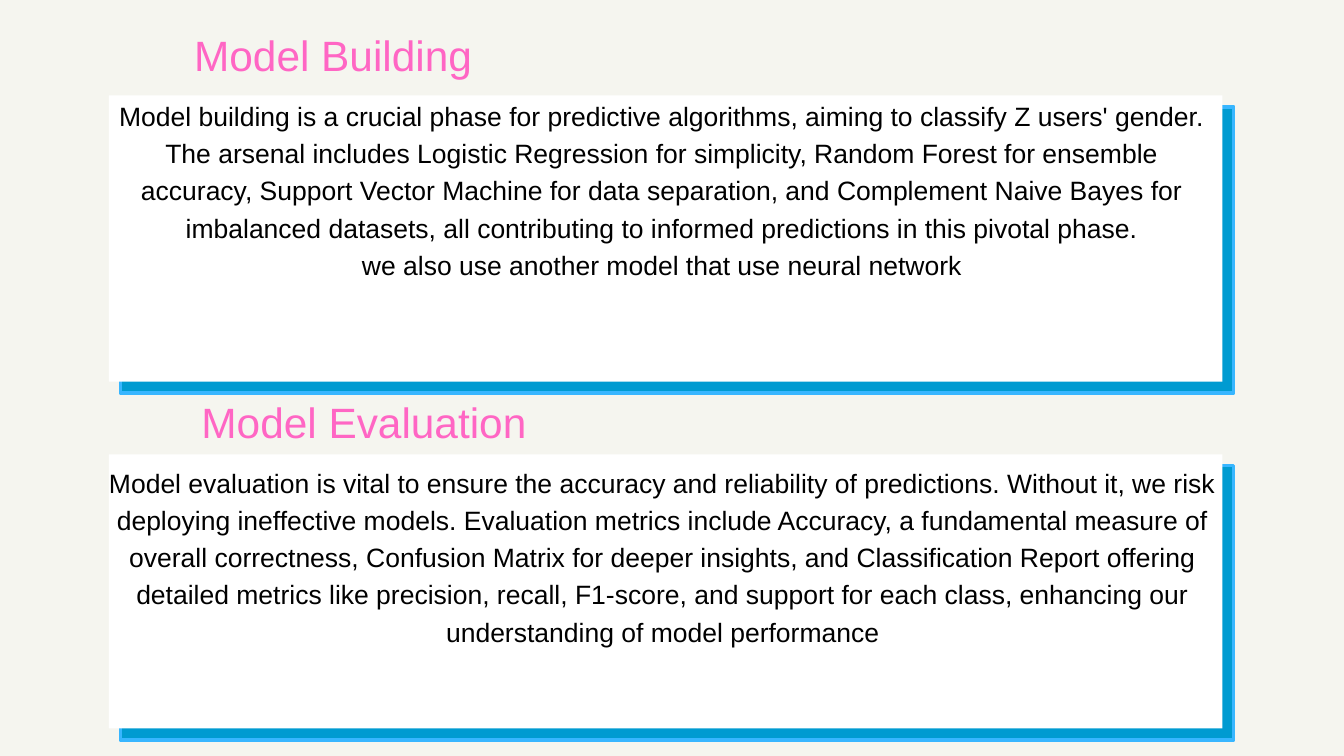
import pptx
import pptx.util
import pptx.dml.color
import pptx.enum.shapes
import pptx.enum.text

Inches = pptx.util.Inches
Pt = pptx.util.Pt

BUILDING = [
    "Model building is a crucial phase for predictive algorithms, aiming to classify Z users' gender. "
    "The arsenal includes Logistic Regression for simplicity, Random Forest for ensemble accuracy, "
    "Support Vector Machine for data separation, and Complement Naive Bayes for imbalanced datasets, "
    "all contributing to informed predictions in this pivotal phase.",
    "we also use another model that use neural network",
]
EVALUATION = [
    "Model evaluation is vital to ensure the accuracy and reliability of predictions. Without it, "
    "we risk deploying ineffective models. Evaluation metrics include Accuracy, a fundamental measure "
    "of overall correctness, Confusion Matrix for deeper insights, and Classification Report offering "
    "detailed metrics like precision, recall, F1-score, and support for each class, enhancing our "
    "understanding of model performance",
]


def color(value):
    return pptx.dml.color.RGBColor.from_string(value)


def write(holder, paragraphs, size, spacing, ink):
    frame = holder.text_frame
    frame.word_wrap = True
    frame.auto_size = pptx.enum.text.MSO_AUTO_SIZE.NONE
    frame.vertical_anchor = pptx.enum.text.MSO_ANCHOR.TOP
    frame.margin_left = frame.margin_right = frame.margin_top = frame.margin_bottom = 0
    for index, text in enumerate(paragraphs):
        paragraph = frame.add_paragraph() if index else frame.paragraphs[0]
        paragraph.alignment = pptx.enum.text.PP_ALIGN.CENTER
        paragraph.line_spacing = Pt(spacing)
        run = paragraph.add_run()
        run.text = text
        run.font.name = "Arial"
        run.font.size = Pt(size)
        run.font.color.rgb = color(ink)


def add_panel(slide, left, top, width, height, fill, border=None):
    panel = slide.shapes.add_shape(
        pptx.enum.shapes.MSO_SHAPE.RECTANGLE,
        Inches(left), Inches(top), Inches(width), Inches(height))
    panel.shadow.inherit = False
    panel.fill.solid()
    panel.fill.fore_color.rgb = color(fill)
    if border:
        panel.line.color.rgb = color(border)
        panel.line.width = Inches(0.05)
    else:
        panel.line.fill.background()


def add_card(slide, paragraphs, left, top, width, height, text_left, text_top, text_width):
    offset = 0.17
    add_panel(slide, left + offset, top + offset, width, height, "009BD1", "38B6FF")
    add_panel(slide, left, top, width, height, "FFFFFF")
    body = slide.shapes.add_textbox(
        Inches(left + text_left), Inches(top + text_top), Inches(text_width), Inches(3.92))
    write(body, paragraphs, size=28.4, spacing=39.8, ink="000000")


def place_heading(heading, text, left, top):
    heading.left, heading.top = Inches(left), Inches(top)
    heading.width, heading.height = Inches(9.17), Inches(0.98)
    write(heading, [text], size=45.4, spacing=63.6, ink="FF66C4")


def main():
    deck = pptx.Presentation()
    deck.slide_width, deck.slide_height = Inches(20), Inches(11.25)
    slide = deck.slides.add_slide(deck.slide_layouts[5])
    slide.background.fill.solid()
    slide.background.fill.fore_color.rgb = color("F5F5EF")

    place_heading(slide.shapes.title, "Model Building", 0.37, 0.3)
    add_card(slide, BUILDING, 1.62, 1.42, 16.57, 4.26,
             text_left=0.03, text_top=-0.01, text_width=16.41)
    evaluation_heading = slide.shapes.add_textbox(0, 0, 0, 0)
    place_heading(evaluation_heading, "Model Evaluation", 0.83, 5.77)
    add_card(slide, EVALUATION, 1.62, 6.76, 16.57, 4.08,
             text_left=0, text_top=0.11, text_width=16.49)
    deck.save("out.pptx")


if __name__ == "__main__":
    main()
